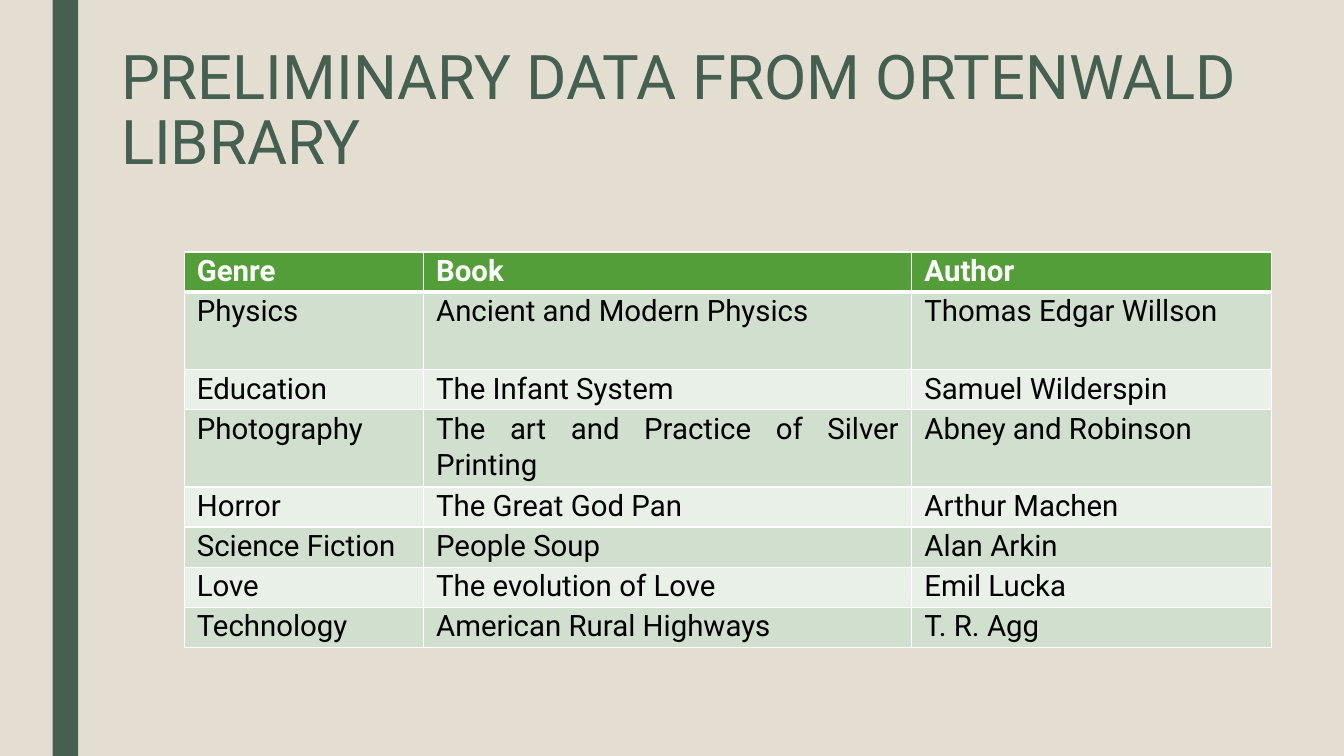
from pptx import Presentation
from pptx.dml.color import RGBColor
from pptx.enum.shapes import MSO_SHAPE
from pptx.enum.text import MSO_ANCHOR, MSO_AUTO_SIZE, PP_ALIGN
from pptx.oxml import parse_xml
from pptx.oxml.ns import nsdecls
from pptx.util import Cm, Pt

SAND = RGBColor(0xE3, 0xDE, 0xD1)
PINE = RGBColor(0x45, 0x5F, 0x51)
GREEN = RGBColor(0x54, 0x9E, 0x39)
SAGE = RGBColor(0xD1, 0xDF, 0xCE)
MIST = RGBColor(0xE9, 0xF0, 0xE8)
WHITE = RGBColor(0xFF, 0xFF, 0xFF)
BLACK = RGBColor(0, 0, 0)
FONT = "Roboto"

BOOKS = [
    ("Genre", "Book", "Author"),
    ("Physics", "Ancient and Modern Physics", "Thomas Edgar Willson"),
    ("Education", "The Infant System", "Samuel Wilderspin"),
    ("Photography", "The art and Practice of Silver Printing", "Abney and Robinson"),
    ("Horror", "The Great God Pan", "Arthur Machen"),
    ("Science Fiction", "People Soup", "Alan Arkin"),
    ("Love", "The evolution of Love", "Emil Lucka"),
    ("Technology", "American Rural Highways", "T. R. Agg"),
]
COLUMN_SHARES = (0.22, 0.449, 0.331)
ROW_HEIGHT = Cm(1.01)
TALL_ROW_HEIGHT = Cm(1.95)
TALL_ROWS = (1, 3)


def add_side_bar(page, left, top, width, height):
    bar = page.shapes.add_shape(MSO_SHAPE.RECTANGLE, left, top, width, height)
    bar.shadow.inherit = False
    bar.fill.solid()
    bar.fill.fore_color.rgb = PINE
    bar.line.fill.background()


def style_paragraph(paragraph, size, color, alignment, spacing, bold=False):
    paragraph.alignment = alignment
    paragraph.line_spacing = spacing
    font = paragraph.font
    font.name, font.size, font.bold = FONT, Pt(size), bold
    font.color.rgb = color


def place_title(page, text, left, top, width, height):
    title = page.shapes.title
    title.left, title.top, title.width, title.height = left, top, width, height
    frame = title.text_frame
    frame.text = text
    frame.word_wrap = True
    frame.auto_size = MSO_AUTO_SIZE.NONE
    frame.vertical_anchor = MSO_ANCHOR.TOP
    frame.margin_left = frame.margin_right = Cm(0.23)
    frame.margin_top = frame.margin_bottom = Cm(0.13)
    style_paragraph(frame.paragraphs[0], 44, PINE, PP_ALIGN.LEFT, 0.89)


def set_borders(cell, bottom_width):
    """Draw white cell edges; the borders must precede the fill in the XML."""
    properties = cell._tc.get_or_add_tcPr()
    for side in "LRTB":
        width = Pt(bottom_width if side == "B" else 1)
        properties.append(parse_xml(
            f'<a:ln{side} {nsdecls("a")} w="{width}"><a:solidFill>'
            f'<a:srgbClr val="{WHITE}"/></a:solidFill></a:ln{side}>'))


def format_cell(cell, text, row_index):
    is_header = row_index == 0
    set_borders(cell, 3 if is_header else 1)
    cell.fill.solid()
    cell.fill.fore_color.rgb = GREEN if is_header else SAGE if row_index % 2 else MIST
    cell.margin_left = cell.margin_right = Cm(0.32)
    cell.margin_top = cell.margin_bottom = 0
    cell.vertical_anchor = MSO_ANCHOR.TOP
    cell.text = text
    style_paragraph(cell.text_frame.paragraphs[0], 21, WHITE if is_header else BLACK,
                    PP_ALIGN.JUSTIFY, 1.07, is_header)


def add_book_table(page, left, top, width):
    heights = [TALL_ROW_HEIGHT if index in TALL_ROWS else ROW_HEIGHT
               for index in range(len(BOOKS))]
    table = page.shapes.add_table(len(BOOKS), len(COLUMN_SHARES), left, top,
                                  width, sum(heights)).table
    for column, share in zip(table.columns, COLUMN_SHARES):
        column.width = int(width * share)
    for row_index, (row, height, book) in enumerate(zip(table.rows, heights, BOOKS)):
        row.height = height
        for cell, text in zip(row.cells, book):
            format_cell(cell, text, row_index)


def main():
    deck = Presentation()
    deck.slide_width, deck.slide_height = Cm(33.87), Cm(19.05)
    page = deck.slides.add_slide(deck.slide_layouts[5])
    page.background.fill.solid()
    page.background.fill.fore_color.rgb = SAND
    add_side_bar(page, Cm(1.33), 0, Cm(0.64), deck.slide_height)
    place_title(page, "PRELIMINARY DATA FROM ORTENWALD LIBRARY",
                Cm(2.82), Cm(1.04), Cm(30.66), Cm(4.11))
    add_book_table(page, Cm(4.64), Cm(6.35), Cm(27.41))
    deck.save("out.pptx")


if __name__ == "__main__":
    main()
